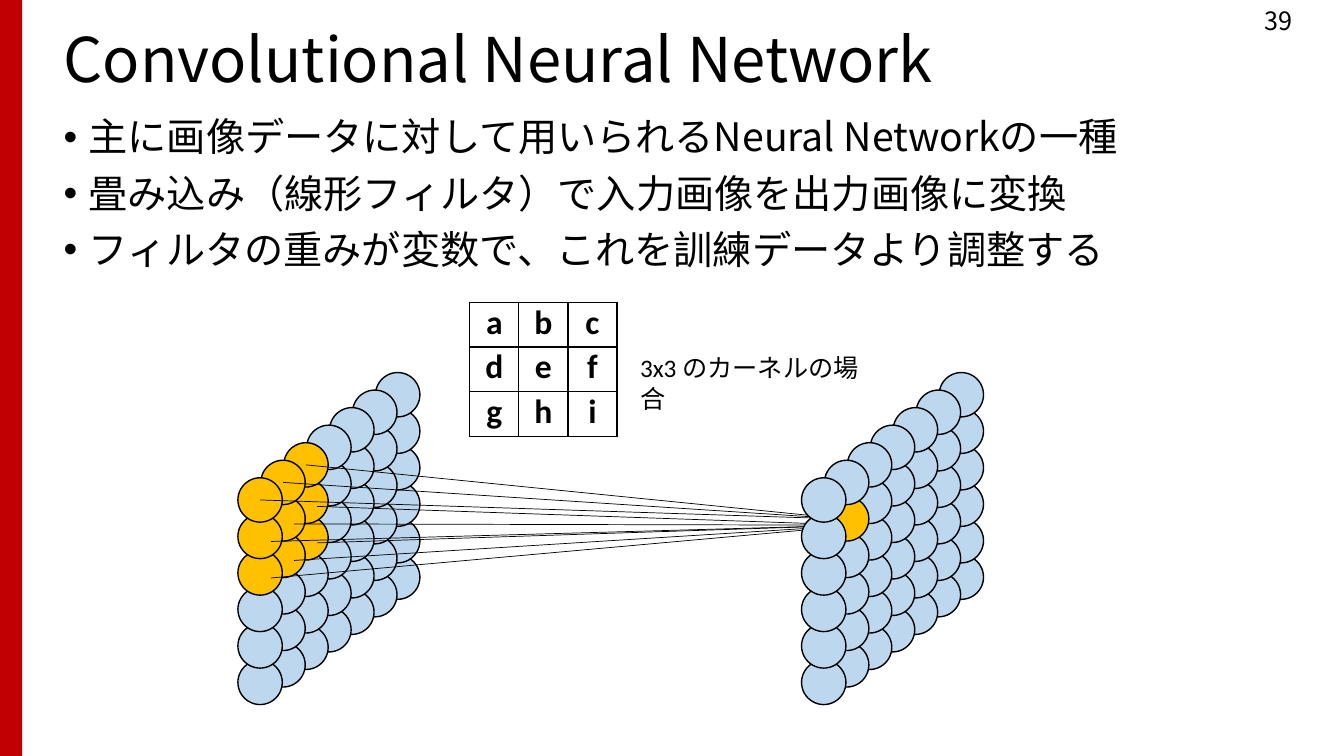
from lxml import etree
from pptx import Presentation
from pptx.dml.color import RGBColor
from pptx.enum.shapes import MSO_CONNECTOR, MSO_SHAPE
from pptx.enum.text import MSO_ANCHOR, MSO_AUTO_SIZE, PP_ALIGN
from pptx.oxml.ns import qn
from pptx.util import Inches, Pt

STRAIGHT = MSO_CONNECTOR.STRAIGHT
OVAL, RECTANGLE = MSO_SHAPE.OVAL, MSO_SHAPE.RECTANGLE
LEFT, CENTER = PP_ALIGN.LEFT, PP_ALIGN.CENTER
TOP, MIDDLE = MSO_ANCHOR.TOP, MSO_ANCHOR.MIDDLE
NO_AUTOFIT = MSO_AUTO_SIZE.NONE

TITLE = "Convolutional Neural Network"
BULLETS = [
    "主に画像データに対して用いられるNeural Networkの一種",
    "畳み込み（線形フィルタ）で入力画像を出力画像に変換",
    "フィルタの重みが変数で、これを訓練データより調整する",
]
PAGE_NUMBER = "39"
KERNEL = ["abc", "def", "ghi"]
KERNEL_LABEL = "3x3 のカーネルの場合"
COLORS = {"bar": "C00000", "neuron": "BDD7EE", "active": "FFC000", "ink": "000000"}
MAIN_FONT, KERNEL_FONT = "Noto Sans CJK JP", "Calibri"

ROWS, COLUMNS = 6, 7
DIAMETER = 0.44
COLUMN_X, COLUMN_Y, ROW_Y = 0.2275, -0.174, 0.362
INPUT_ORIGIN, OUTPUT_ORIGIN = (2.36, 4.74), (7.95, 4.74)
INPUT_ACTIVE = {(row, column) for row in range(3) for column in range(3)}
OUTPUT_ACTIVE = {(1, 1)}
LINK_SHIFTS = [(0, 0), (0.11, 0.05), (0.11, 0.05)]
LINK_ENDS = [(8.4, 5.15), (8.51, 5.21), (8.52, 5.21)]


def color(name):
    return RGBColor.from_string(COLORS[name])


def write(frame, lines, size, font=MAIN_FONT, bold=False, align=LEFT, anchor=TOP,
          spacing=None, before=0, bullet=None):
    frame.word_wrap = True
    frame.vertical_anchor = anchor
    for index, line in enumerate(lines):
        paragraph = frame.paragraphs[0] if index == 0 else frame.add_paragraph()
        paragraph.alignment = align
        paragraph.space_before = Pt(before if index else 0)
        if spacing:
            paragraph.line_spacing = spacing
        if bullet:
            properties = paragraph._p.get_or_add_pPr()
            properties.set("marL", str(Inches(0.25)))
            properties.set("indent", str(Inches(-0.25)))
            etree.SubElement(properties, qn("a:buFont")).set("typeface", "Arial")
            etree.SubElement(properties, qn("a:buChar")).set("char", bullet)
        run = paragraph.add_run()
        run.text = line
        run.font.size = Pt(size)
        run.font.bold = bold
        run.font.name = font
        run.font.color.rgb = color("ink")
        east_asian = etree.SubElement(run.font._element, qn("a:ea"))
        east_asian.set("typeface", font)


def place(shape, left, top, width, height):
    shape.left, shape.top = Inches(left), Inches(top)
    shape.width, shape.height = Inches(width), Inches(height)


def add_filled(shapes, kind, fill, left, top, width, height):
    shape = shapes.add_shape(kind, Inches(left), Inches(top), Inches(width), Inches(height))
    shape.shadow.inherit = False
    shape.fill.solid()
    shape.fill.fore_color.rgb = color(fill)
    return shape


def neuron_corner(origin, row, column):
    return (origin[0] + COLUMN_X * column,
            origin[1] + COLUMN_Y * column + ROW_Y * row)


def add_layer(slide, origin, active):
    layer = slide.shapes.add_group_shape()
    for row in reversed(range(ROWS)):
        for column in reversed(range(COLUMNS)):
            fill = "active" if (row, column) in active else "neuron"
            left, top = neuron_corner(origin, row, column)
            neuron = add_filled(layer.shapes, OVAL, fill, left, top, DIAMETER, DIAMETER)
            neuron.line.color.rgb = color("ink")
            neuron.line.width = Pt(1)


def add_links(slide):
    links = slide.shapes.add_group_shape()
    for row, column in sorted(INPUT_ACTIVE):
        left, top = neuron_corner(INPUT_ORIGIN, row, column)
        shift_x, shift_y = LINK_SHIFTS[row]
        end_x, end_y = LINK_ENDS[row]
        link = links.shapes.add_connector(
            STRAIGHT,
            Inches(left + DIAMETER / 2 + shift_x), Inches(top + DIAMETER / 2 + shift_y),
            Inches(end_x), Inches(end_y))
        link.line.color.rgb = color("ink")
        link.line.width = Pt(0.5)
        etree.SubElement(link._element.spPr, qn("a:effectLst"))


def add_kernel(slide):
    size = len(KERNEL)
    table = slide.shapes.add_table(size, size, Inches(4.66), Inches(3),
                                   Inches(1.46), Inches(1.33)).table
    for row, letters in enumerate(KERNEL):
        for column, letter in enumerate(letters):
            cell = table.cell(row, column)
            cell.margin_left = cell.margin_right = cell.margin_top = cell.margin_bottom = 0
            write(cell.text_frame, [letter], 24, KERNEL_FONT, bold=True, align=CENTER)
            properties = cell._tc.get_or_add_tcPr()
            for side in ("a:lnL", "a:lnR", "a:lnT", "a:lnB"):
                border = etree.SubElement(properties, qn(side), w=str(Pt(1)))
                fill = etree.SubElement(border, qn("a:solidFill"))
                etree.SubElement(fill, qn("a:srgbClr"), val=COLORS["ink"])
            cell.fill.background()


def add_text(slide, text, left, top, width, height, size, font=MAIN_FONT):
    box = slide.shapes.add_textbox(Inches(left), Inches(top), Inches(width), Inches(height))
    write(box.text_frame, [text], size, font)


def main():
    presentation = Presentation()
    presentation.slide_width, presentation.slide_height = Inches(13.33), Inches(7.5)
    slide = presentation.slides.add_slide(presentation.slide_layouts[1])
    title, body = slide.placeholders
    place(title, 0.53, 0.22, 12.8, 0.8)
    place(body, 0.53, 1.12, 12.8, 2.06)
    title.text_frame.auto_size = body.text_frame.auto_size = NO_AUTOFIT
    write(title.text_frame, [TITLE], 44, anchor=MIDDLE, spacing=0.9)
    write(body.text_frame, BULLETS, 28, spacing=0.9, before=10, bullet="•")

    bar = add_filled(slide.shapes, RECTANGLE, "bar", 0, 0, 0.22, 7.5)
    bar.line.fill.background()
    add_text(slide, PAGE_NUMBER, 12.44, 0, 0.8, 0.4, 18)
    add_layer(slide, INPUT_ORIGIN, INPUT_ACTIVE)
    add_kernel(slide)
    add_links(slide)
    add_layer(slide, OUTPUT_ORIGIN, OUTPUT_ACTIVE)
    add_text(slide, KERNEL_LABEL, 6.25, 3.45, 2.57, 0.4, 18, KERNEL_FONT)
    presentation.save("out.pptx")


if __name__ == "__main__":
    main()
